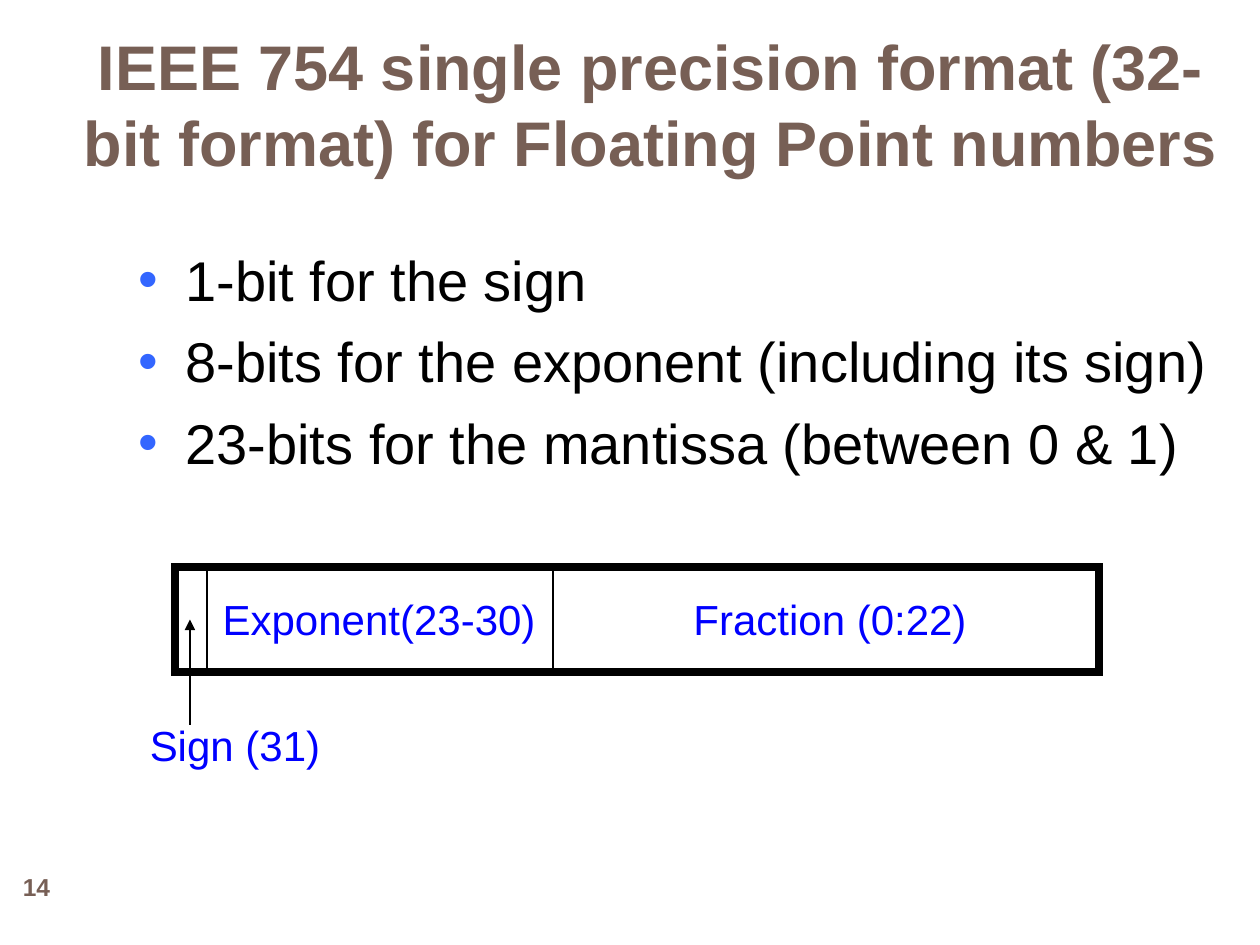
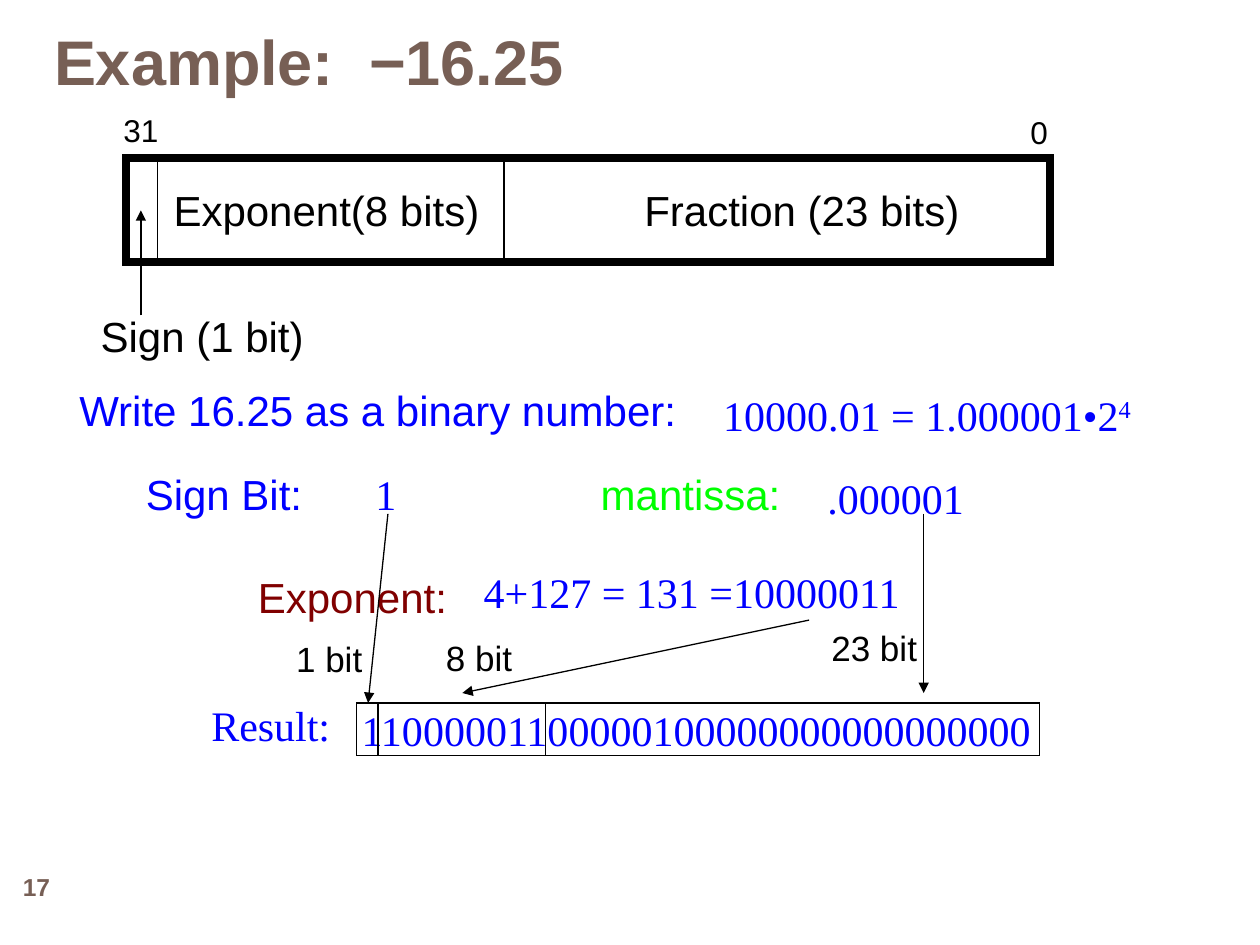
from dataclasses import dataclass
from typing import NamedTuple

from lxml.etree import SubElement
from pptx import Presentation
from pptx.dml.color import RGBColor
from pptx.enum.shapes import MSO_CONNECTOR, MSO_SHAPE
from pptx.enum.text import MSO_ANCHOR as Anchor, MSO_AUTO_SIZE as AutoSize, PP_ALIGN as Align
from pptx.oxml.ns import qn
from pptx.util import Cm, Pt

BLACK, BLUE, GREEN, MAROON = "000000", "0000FF", "00FF00", "800000"
BROWN, BULLET = "775F55", "3366FF"
SANS, SERIF = "Arial", "Times New Roman"
LABEL_SLACK = 0.15


class Point(NamedTuple):
    x: float
    y: float


@dataclass
class Label:
    text: str
    left: float
    top: float
    width: float
    color: str = BLACK
    font: str = SANS
    size: int = 24
    power: str = ""


@dataclass
class Register:
    left: float
    top: float
    color: str
    exponent: str
    exponent_width: float
    fraction: str
    fraction_width: float
    sign: str
    sign_width: float


@dataclass
class Field:
    left: float
    width: float
    start: Point
    end: Point
    label: Label


def rgb(color: str) -> RGBColor:
    return RGBColor.from_string(color)


def add_run(p, text: str, color: str, font: str = SANS, size: int = 24, bold: bool = False):
    r = p.add_run()
    r.text = text
    for name, value in {"name": font, "size": Pt(size), "bold": bold}.items():
        setattr(r.font, name, value)
    r.font.color.rgb = rgb(color)
    return r


def add_box(shapes, left: float, top: float, width: float, height: float, wrap: bool = True):
    tf = shapes.add_textbox(Cm(left), Cm(top), Cm(width), Cm(height)).text_frame
    tf.word_wrap = wrap
    return tf


def add_label(shapes, label: Label) -> None:
    height = round(label.size * 0.0423 + 0.254, 2)
    tf = add_box(shapes, label.left, label.top, label.width + LABEL_SLACK, height, wrap=False)
    tf.auto_size = AutoSize.SHAPE_TO_FIT_TEXT
    p = tf.paragraphs[0]
    add_run(p, label.text, label.color, label.font, label.size)
    if label.power:
        r = add_run(p, label.power, label.color, label.font, label.size)
        r._r.get_or_add_rPr().set("baseline", "30000")


def add_frame(shapes, left: float, top: float, width: float, height: float, line: float) -> None:
    sp = shapes.add_shape(MSO_SHAPE.RECTANGLE, Cm(left), Cm(top), Cm(width), Cm(height))
    sp.shadow.inherit = False
    sp.fill.background()
    sp.line.color.rgb = rgb(BLACK)
    sp.line.width = Pt(line)
    SubElement(sp._element.spPr.find(qn("a:ln")), qn("a:miter"), lim="800000")


def add_line(shapes, start: Point, end: Point, arrow: bool = False) -> None:
    c = shapes.add_connector(
        MSO_CONNECTOR.STRAIGHT, Cm(start.x), Cm(start.y), Cm(end.x), Cm(end.y)
    )
    c.line.color.rgb = rgb(BLACK)
    c.line.width = Pt(0.75)
    spPr = c._element.spPr
    if arrow:
        SubElement(spPr.find(qn("a:ln")), qn("a:tailEnd"), type="triangle")
    SubElement(spPr, qn("a:effectLst"))


def add_register(s, reg: Register) -> None:
    shapes = s.shapes.add_group_shape().shapes
    x, y, height = reg.left, reg.top, 2.11
    add_frame(shapes, x, y, 18.62, height, 4.5)
    for offset in (0.64, 7.62):
        add_line(shapes, Point(x + offset, y + height), Point(x + offset, y))
    for text, dx, dy, width in (
        (reg.exponent, 0.71, 0.41, reg.exponent_width),
        (reg.fraction, 10.2, 0.41, reg.fraction_width),
        (reg.sign, -0.76, 2.95, reg.sign_width),
    ):
        add_label(shapes, Label(text, x + dx, y + dy, width, reg.color))
    add_line(shapes, Point(x + 0.3, y + 3.18), Point(x + 0.3, y + 1.06), arrow=True)


def add_field(s, field: Field) -> None:
    shapes = s.shapes.add_group_shape().shapes
    add_frame(shapes, field.left, 14.17, field.width, 1.06, 0.75)
    add_line(shapes, field.start, field.end, arrow=True)
    add_label(shapes, field.label)


def add_title(s, text: str, left: float, top: float, width: float, align: Align):
    p = add_box(s.shapes, left, top, width, 2.34).paragraphs[0]
    p.alignment = align
    add_run(p, text, BROWN, size=36, bold=True)
    return p


def add_tab_stop(p, position: float) -> None:
    tabs = SubElement(p._p.get_or_add_pPr(), qn("a:tabLst"))
    SubElement(tabs, qn("a:tab"), pos=str(Cm(position)), algn="l")


def add_bullets(s, items: list[str]) -> None:
    tf = add_box(s.shapes, 2.54, 4.83, 22.43, 5.08)
    for i, item in enumerate(items):
        p = tf.paragraphs[0] if i == 0 else tf.add_paragraph()
        p.space_before = Pt(8)
        pPr = p._p.get_or_add_pPr()
        for name, value in {"marL": Cm(0.95), "indent": -Cm(0.95)}.items():
            pPr.set(name, str(value))
        SubElement(SubElement(pPr, qn("a:buClr")), qn("a:srgbClr"), val=BULLET)
        SubElement(pPr, qn("a:buFont"), typeface=SANS)
        SubElement(pPr, qn("a:buChar"), char="•")
        add_run(p, item, BLACK, size=32)


def new_slide(prs, number: int):
    s = prs.slides.add_slide(prs.slide_layouts[6])
    tf = add_box(s.shapes, 0, 17.35, 1.47, 1.07)
    tf.vertical_anchor = Anchor.MIDDLE
    p = tf.paragraphs[0]
    p.alignment = Align.CENTER
    add_run(p, str(number), BROWN, size=14, bold=True)
    return s


def build_format_slide(prs) -> None:
    s = new_slide(prs, 14)
    add_bullets(s, [
        "1-bit for the sign",
        "8-bits for the exponent (including its sign)",
        "23-bits for the mantissa (between 0 & 1)",
    ])
    add_register(s, Register(
        3.53, 11.43, BLUE, "Exponent(23-30)", 6.81, "Fraction (0:22)", 5.99, "Sign (31)", 3.94
    ))
    add_title(
        s,
        "IEEE 754 single precision format (32-bit format) for Floating Point numbers",
        1.27, 0.43, 23.7, Align.CENTER,
    )


def build_example_slide(prs) -> None:
    s = new_slide(prs, 17)
    add_register(s, Register(
        2.54, 3.18, BLACK, "Exponent(8 bits)", 6.65, "Fraction (23 bits)", 6.86, "Sign (1 bit)", 4.6
    ))
    for label in (
        Label("Write 16.25 as a binary number:", 1.35, 7.62, 12.55, BLUE),
        Label("Sign Bit:", 2.69, 9.32, 3.66, BLUE),
        Label("mantissa:", 11.86, 9.32, 4.11, GREEN),
        Label("Exponent:", 4.95, 11.4, 4.32, MAROON),
        Label("1", 7.32, 9.32, 0.91, BLUE, SERIF),
        Label("10000.01 = 1.000001•2", 14.33, 7.72, 8.71, BLUE, SERIF, power="4"),
        Label("4+127 = 131 =10000011", 9.5, 11.3, 8.92, BLUE, SERIF),
        Label(".000001", 16.43, 9.4, 3.25, BLUE, SERIF),
        Label("Result:", 4.01, 13.97, 2.9, BLUE, SERIF),
        Label("11000001100000100000000000000000", 7.04, 14.07, 14.05, BLUE, SERIF),
        Label("0", 20.52, 2.16, 0.86, size=18),
        Label("31", 2.24, 2.11, 1.21, size=18),
    ):
        add_label(s.shapes, label)
    p = add_title(s, "Example:\t−16.25", 0.84, 0.33, 25.4, Align.LEFT)
    add_tab_stop(p, 6.35)
    for field in (
        Field(7.19, 0.43, Point(7.82, 10.36), Point(7.42, 14.17),
              Label("1 bit", 5.72, 12.73, 1.83, size=20)),
        Field(7.62, 3.38, Point(16.31, 12.5), Point(9.32, 13.97),
              Label("8 bit", 8.74, 12.7, 1.83, size=20)),
        Field(11, 9.96, Point(18.62, 10.36), Point(18.62, 13.97),
              Label("23 bit", 16.51, 12.5, 2.24, size=20)),
    ):
        add_field(s, field)


def main() -> None:
    prs = Presentation()
    prs.slide_width, prs.slide_height = Cm(25.4), Cm(19.05)
    build_format_slide(prs)
    build_example_slide(prs)
    prs.save("out.pptx")


if __name__ == "__main__":
    main()
